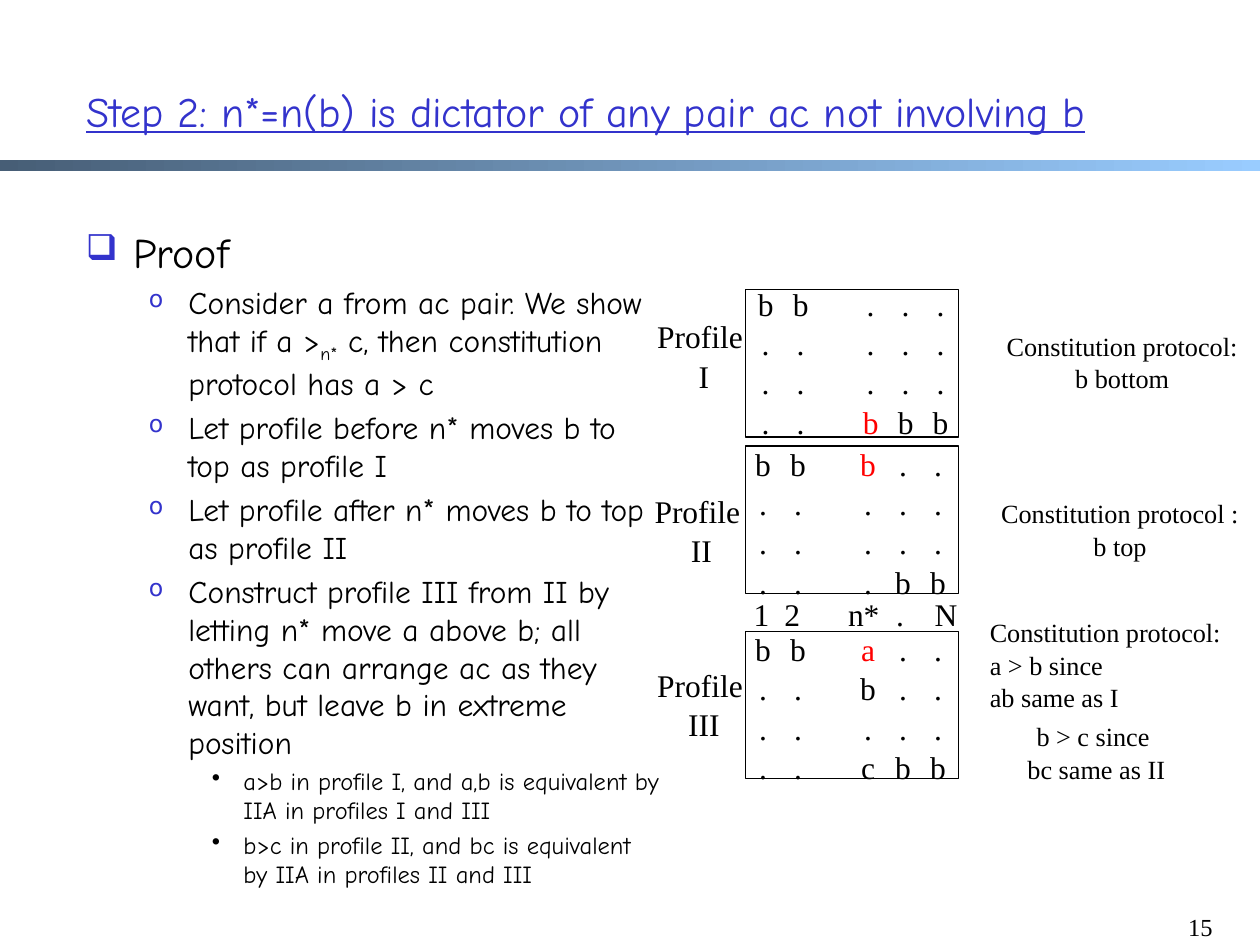
from lxml import etree
from pptx import Presentation
from pptx.dml.color import RGBColor
from pptx.enum.shapes import MSO_SHAPE as Shape
from pptx.enum.text import MSO_ANCHOR as Anchor, MSO_AUTO_SIZE as AutoSize, PP_ALIGN as Align
from pptx.oxml.ns import qn
from pptx.util import Pt

COLORS = {"black": "000000", "blue": "3333CC", "red": "FF0000",
          "bar_dark": "475E76", "bar_light": "99CCFF"}
SANS, SERIF = "Comic Neue", "Times New Roman"

# level: text indent, hanging, size, space before, bullet, bullet colour, bullet size %
LEVELS = [
    (27, 27, 24, 0, "❑", "blue", 85),
    (58.5, 22.5, 18, 3.6, "o", "blue", 75),
    (90, 18, 14, 2.8, "•", "black", 100),
]
PROOF = [
    (0, "Proof"),
    (1, "Consider a from ac pair. We show that if a >", "n*",
     " c, then constitution protocol has a > c"),
    (1, "Let profile before n* moves b to top as profile I"),
    (1, "Let profile after n* moves b to top as profile II"),
    (1, "Construct profile III from II by letting n* move a above b; all others "
        "can arrange ac as they want, but leave b in extreme position"),
    (2, "a>b in profile I, and a,b is equivalent by IIA in profiles I and III"),
    (2, "b>c in profile II, and bc is equivalent by IIA in profiles II and III"),
]
# left and top of the columns, top of the frame, columns, row of the red letter
PROFILES = [
    (425.5, 158.4, 165.6, ["b...", "b...", "...b", "...b", "...b"], 3),
    (424, 249.8, 254.9, ["b...", "b...", "b...", "...b", "...b"], 0),
    (424, 355.7, 360.7, ["b...", "b...", "ab.c", "...b", "...b"], 0),
]
COLUMN_SLOTS = [0, 1, 3, 4, 5]
PIVOTAL = 2
LABELS = [
    ("Profile \nI", 368, 177, 68.5, 51, 18, Align.CENTER),
    ("Profile \nII", 366.5, 276.5, 68.5, 51, 18, Align.CENTER),
    ("Profile \nIII", 368, 376, 68.5, 51, 18, Align.CENTER),
    ("Constitution protocol:\nb bottom", 567.5, 184.3, 147.5, 44, 15, Align.CENTER),
    ("Constitution protocol :\nb top", 564.5, 280, 151, 44, 15, Align.CENTER),
    ("Constitution protocol:\na > b since \nab same as I",
     558.5, 347.8, 147.5, 62, 15, Align.LEFT),
    ("b > c since \nbc same as II", 553.5, 407.5, 146, 44, 15, Align.CENTER),
    ("15", 666, 517, 34, 23, 14, Align.RIGHT),
]


def rgb(name):
    return RGBColor.from_string(COLORS[name])


def set_font(paragraph, name, size, color="black"):
    font = paragraph.font
    font.name, font.size = name, Pt(size)
    font.color.rgb = rgb(color)


def add_box(slide, left, top, width, height, wrap=False):
    frame = slide.shapes.add_textbox(Pt(left), Pt(top), Pt(width), Pt(height)).text_frame
    frame.word_wrap = wrap
    return frame


def add_label(slide, text, left, top, width, height, size, align):
    paragraph = add_box(slide, left, top, width, height).paragraphs[0]
    paragraph.text = text
    paragraph.alignment = align
    paragraph.line_spacing = 1.04
    set_font(paragraph, SERIF, size)


def add_title(slide):
    title = slide.shapes.title
    title.left, title.top, title.width, title.height = Pt(42), Pt(18), Pt(632), Pt(90)
    frame = title.text_frame
    frame.auto_size = AutoSize.NONE
    frame.vertical_anchor = Anchor.MIDDLE
    paragraph = frame.paragraphs[0]
    paragraph.text = "Step 2: n*=n(b) is dictator of any pair ac not involving b"
    paragraph.alignment = Align.LEFT
    set_font(paragraph, SANS, 24, "blue")
    paragraph.font.underline = True


def add_gradient_bar(slide):
    bar = slide.shapes.add_shape(Shape.RECTANGLE, 0, Pt(91.5), Pt(720), Pt(6))
    bar.shadow.inherit = False
    bar.line.fill.background()
    bar.fill.gradient()
    bar.fill.gradient_angle = 0
    for stop, position, color in zip(bar.fill.gradient_stops, (0, 1), ("bar_dark", "bar_light")):
        stop.position = position
        stop.color.rgb = rgb(color)


def set_bullet(paragraph, indent, hanging, character, color, percent):
    properties = paragraph._p.get_or_add_pPr()
    properties.set("marL", str(Pt(indent)))
    properties.set("indent", str(-Pt(hanging)))
    bullet_color = etree.SubElement(properties, qn("a:buClr"))
    etree.SubElement(bullet_color, qn("a:srgbClr"), val=COLORS[color])
    etree.SubElement(properties, qn("a:buSzPct"), val=str(percent * 1000))
    etree.SubElement(properties, qn("a:buChar"), char=character)


def add_proof(slide):
    frame = add_box(slide, 42, 126, 342, 414, wrap=True)
    for index, (level, *parts) in enumerate(PROOF):
        paragraph = frame.add_paragraph() if index else frame.paragraphs[0]
        indent, hanging, size, before, *bullet = LEVELS[level]
        paragraph.level = level
        paragraph.space_before = Pt(before)
        set_bullet(paragraph, indent, hanging, *bullet)
        set_font(paragraph, SANS, size)
        for number, part in enumerate(parts):
            run = paragraph.add_run()
            run.text = part
            if number == 1:  # subscript
                run.font._element.set("baseline", "-25000")


def add_column(slide, letters, left, top, red_row):
    frame = add_box(slide, left, top, 24, 94.5)
    for row, letter in enumerate(letters):
        paragraph = frame.add_paragraph() if row else frame.paragraphs[0]
        paragraph.text = letter
        paragraph.alignment = Align.CENTER
        paragraph.line_spacing = 1.04
        set_font(paragraph, SERIF, 18, "red" if row == red_row else "black")


def add_profile(slide, left, top, frame_top, columns, red_row):
    """Draw the framed preference columns, one per voter."""
    for index, (slot, letters) in enumerate(zip(COLUMN_SLOTS, columns)):
        add_column(slide, letters, left + 20 * slot, top, red_row if index == PIVOTAL else None)
    border = slide.shapes.add_shape(Shape.RECTANGLE, Pt(426), Pt(frame_top), Pt(121.7), Pt(84.2))
    border.shadow.inherit = False
    border.fill.background()
    border.line.color.rgb = rgb("black")
    border.line.width = Pt(0.75)


def add_voter_names(slide):
    paragraph = add_box(slide, 423.5, 335.5, 140, 29, wrap=True).paragraphs[0]
    paragraph.text = "1\t2\tn*\t.\tN"
    paragraph.line_spacing = 1.04
    tabs = etree.SubElement(paragraph._p.get_or_add_pPr(), qn("a:tabLst"))
    for position in (17.7, 54, 81.5, 103.5):
        etree.SubElement(tabs, qn("a:tab"), pos=str(Pt(position)), algn="l")
    set_font(paragraph, SERIF, 18)


def main():
    presentation = Presentation()
    presentation.slide_width, presentation.slide_height = Pt(720), Pt(540)
    slide = presentation.slides.add_slide(presentation.slide_layouts[5])
    add_gradient_bar(slide)
    add_title(slide)
    add_proof(slide)
    for profile in PROFILES:
        add_profile(slide, *profile)
    add_voter_names(slide)
    for label in LABELS:
        add_label(slide, *label)
    presentation.save("out.pptx")


if __name__ == "__main__":
    main()
